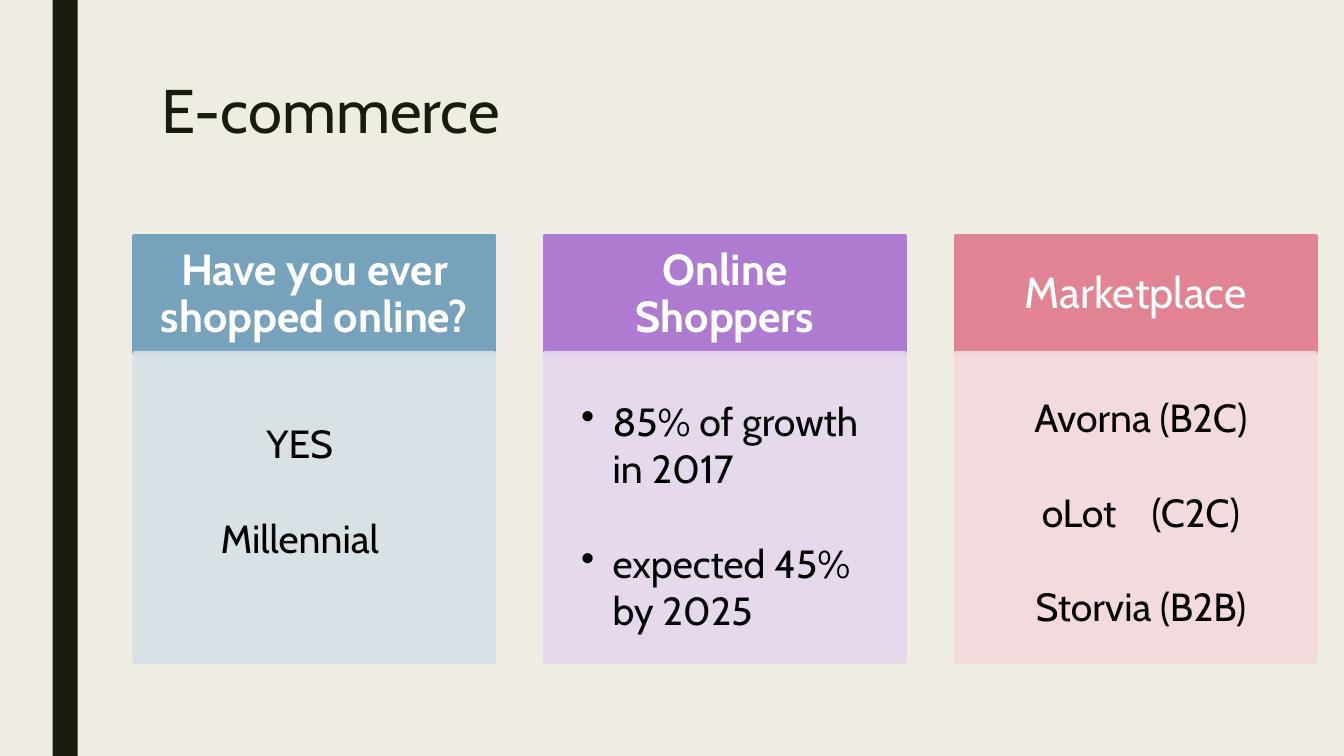
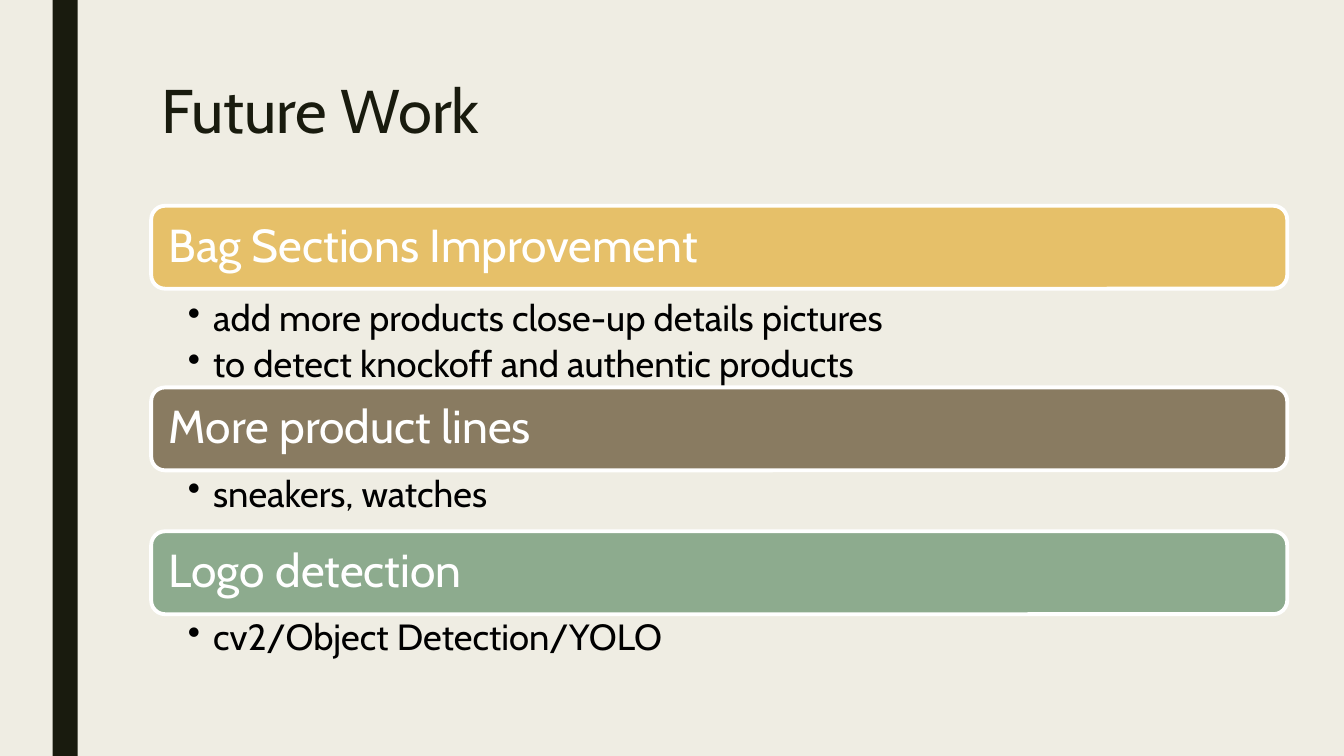
from dataclasses import dataclass

from lxml.etree import SubElement
from pptx import Presentation
from pptx.dml.color import RGBColor
from pptx.enum.shapes import MSO_SHAPE
from pptx.enum.text import MSO_ANCHOR, PP_ALIGN
from pptx.oxml.ns import qn
from pptx.shapes.autoshape import Shape
from pptx.slide import Slide
from pptx.util import Emu, Pt

EMU_PER_PX = 9525
SLIDE_WIDTH, SLIDE_HEIGHT = 1280, 720
FONT = "Cabin"
OUTLINE_POINTS = 2.75
COLORS = {
    "background": "EFEDE3",
    "dark": "191B0E",
    "white": "FFFFFF",
    "black": "000000",
    "blue": "77A2BB",
    "blue_tint": "D6E0E7",
    "purple": "AE7BD0",
    "purple_tint": "E6D7EE",
    "pink": "E28394",
    "pink_tint": "F4D9DC",
    "gold": "E6C069",
    "brown": "897B61",
    "green": "8DAB8E",
}


@dataclass(frozen=True)
class Box:
    left: int
    top: int
    width: int
    height: int


@dataclass(frozen=True)
class TextRun:
    text: str
    tracking: int = 0


@dataclass(frozen=True)
class TextStyle:
    size: int
    color: str
    bold: bool = False
    align: PP_ALIGN = PP_ALIGN.LEFT
    line_spacing: float = 1.0
    gap_points: int = 0
    bullet_indent: int = 0


@dataclass(frozen=True)
class Card:
    heading: str
    color: str
    bold: bool
    text_box: Box
    align: PP_ALIGN
    bullet_indent: int
    paragraphs: tuple[tuple[TextRun, ...], ...]


@dataclass(frozen=True)
class Section:
    heading: str
    color: str
    bar_top: int
    list_top: int
    list_height: int
    items: tuple[str, ...]


CARDS = (
    Card("Have you ever shopped online?", "blue", True, Box(152, 395, 267, 146),
         PP_ALIGN.CENTER, 0, ((TextRun("YES"),), (TextRun("Millennial"),))),
    Card("Online Shoppers", "purple", True, Box(544, 374, 305, 236),
         PP_ALIGN.LEFT, 30,
         ((TextRun("85% of growth in 2017"),), (TextRun("expected 45% by 2025"),))),
    Card("Marketplace", "pink", False, Box(960, 370, 253, 236),
         PP_ALIGN.CENTER, 0,
         ((TextRun("Avorna (B2C)"),),
          (TextRun("oLot"), TextRun(" ", 1900), TextRun("(C2C)")),
          (TextRun("Storvia (B2B)"),))),
)

SECTIONS = (
    Section("Bag Sections Improvement", "gold", 196, 281, 88,
            ("add more products close-up details pictures",
             "to detect knockoff and authentic products")),
    Section("More product lines", "brown", 369, 448, 58, ("sneakers, watches",)),
    Section("Logo detection", "green", 506, 585, 58, ("cv2/Object Detection/YOLO",)),
)


def px(length: int) -> Emu:
    return Emu(length * EMU_PER_PX)


def rgb(name: str) -> RGBColor:
    return RGBColor.from_string(COLORS[name])


def place(box: Box) -> tuple[Emu, Emu, Emu, Emu]:
    return px(box.left), px(box.top), px(box.width), px(box.height)


def set_margins(shape: Shape, left: int, top: int, right: int, bottom: int) -> None:
    frame = shape.text_frame
    frame.margin_left, frame.margin_top = px(left), px(top)
    frame.margin_right, frame.margin_bottom = px(right), px(bottom)


def write_text(shape: Shape, paragraphs: tuple[tuple[TextRun, ...], ...],
               style: TextStyle, anchor: MSO_ANCHOR = MSO_ANCHOR.TOP) -> None:
    frame = shape.text_frame
    frame.word_wrap = True
    frame.vertical_anchor = anchor
    for index, text_runs in enumerate(paragraphs):
        paragraph = frame.add_paragraph() if index else frame.paragraphs[0]
        paragraph.alignment = style.align
        paragraph.line_spacing = style.line_spacing
        paragraph.space_before = Pt(style.gap_points if index else 0)
        if style.bullet_indent:
            properties = paragraph._p.get_or_add_pPr()
            indent = px(style.bullet_indent)
            properties.set("marL", str(indent))
            properties.set("indent", str(-indent))
            SubElement(properties, qn("a:buChar")).set("char", "•")
        for text_run in text_runs:
            run = paragraph.add_run()
            run.text = text_run.text
            run.font.name = FONT
            run.font.size = Pt(style.size)
            run.font.bold = style.bold
            run.font.color.rgb = rgb(style.color)
            if text_run.tracking:
                run._r.get_or_add_rPr().set("spc", str(text_run.tracking))


def add_panel(slide: Slide, kind: MSO_SHAPE, box: Box, fill: str,
              outline: str | None = None, opacity: int = 100) -> Shape:
    shape = slide.shapes.add_shape(kind, *place(box))
    shape.shadow.inherit = False
    shape.fill.solid()
    shape.fill.fore_color.rgb = rgb(fill)
    if outline:
        shape.line.color.rgb = rgb(outline)
        shape.line.width = Pt(OUTLINE_POINTS)
    else:
        shape.line.fill.background()
    if opacity < 100:
        for color in shape.element.spPr.findall(".//" + qn("a:srgbClr")):
            SubElement(color, qn("a:alpha")).set("val", str(opacity * 1000))
    return shape


def add_titled_slide(presentation: Presentation, title: str) -> Slide:
    slide = presentation.slides.add_slide(presentation.slide_layouts[5])
    add_panel(slide, MSO_SHAPE.RECTANGLE, Box(50, 0, 24, SLIDE_HEIGHT), "dark")
    shape = slide.shapes.title
    shape.left, shape.top, shape.width, shape.height = place(Box(144, 72, 1008, 156))
    write_text(shape, ((TextRun(title),),), TextStyle(44, "dark", line_spacing=0.89))
    return slide


def add_card(slide: Slide, card: Card, left: int) -> None:
    header = add_panel(slide, MSO_SHAPE.RECTANGLE, Box(left, 225, 343, 111),
                       card.color, card.color)
    set_margins(header, 23, 13, 23, 13)
    write_text(header, ((TextRun(card.heading),),),
               TextStyle(31, "white", card.bold, PP_ALIGN.CENTER, 0.9), MSO_ANCHOR.MIDDLE)
    tint = f"{card.color}_tint"
    add_panel(slide, MSO_SHAPE.RECTANGLE, Box(left, 336, 343, 295), tint, tint, 90)
    body = slide.shapes.add_textbox(*place(card.text_box))
    write_text(body, card.paragraphs,
               TextStyle(28, "black", align=card.align, gap_points=34,
                         bullet_indent=card.bullet_indent))


def add_section(slide: Slide, section: Section) -> None:
    left, width = 144, 1082
    bar = add_panel(slide, MSO_SHAPE.ROUNDED_RECTANGLE,
                    Box(left, section.bar_top, width, 79), section.color, "white")
    set_margins(bar, 13, 13, 13, 13)
    write_text(bar, ((TextRun(section.heading),),),
               TextStyle(33, "white", line_spacing=0.9), MSO_ANCHOR.MIDDLE)
    items = slide.shapes.add_textbox(
        *place(Box(left, section.list_top, width, section.list_height)))
    set_margins(items, 35, 5, 25, 5)
    write_text(items, tuple((TextRun(item),) for item in section.items),
               TextStyle(26, "black", line_spacing=0.9, gap_points=5, bullet_indent=24))


def main() -> None:
    presentation = Presentation()
    presentation.slide_width, presentation.slide_height = px(SLIDE_WIDTH), px(SLIDE_HEIGHT)
    background = presentation.slide_master.background.fill
    background.solid()
    background.fore_color.rgb = rgb("background")

    commerce_slide = add_titled_slide(presentation, "E-commerce")
    for index, card in enumerate(CARDS):
        add_card(commerce_slide, card, 128 + index * 391)

    future_slide = add_titled_slide(presentation, "Future Work")
    for section in SECTIONS:
        add_section(future_slide, section)

    presentation.save("out.pptx")


if __name__ == "__main__":
    main()
